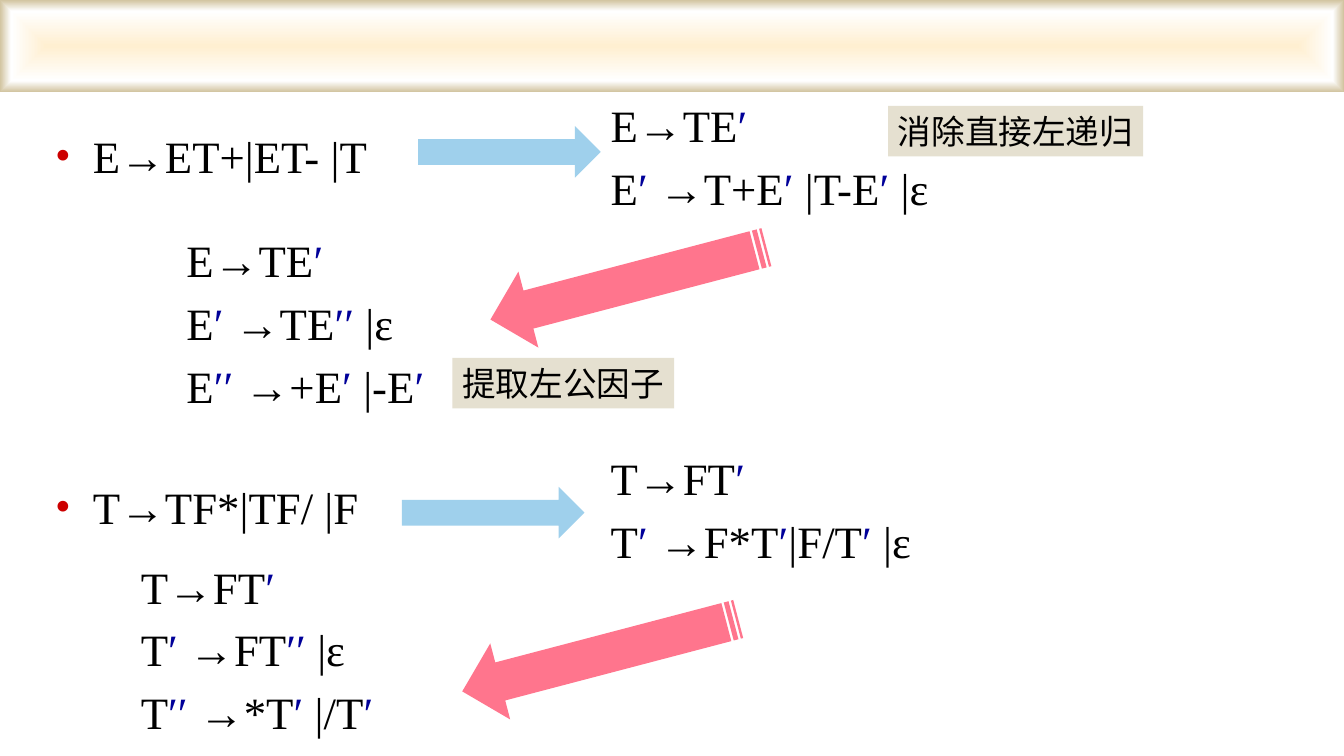
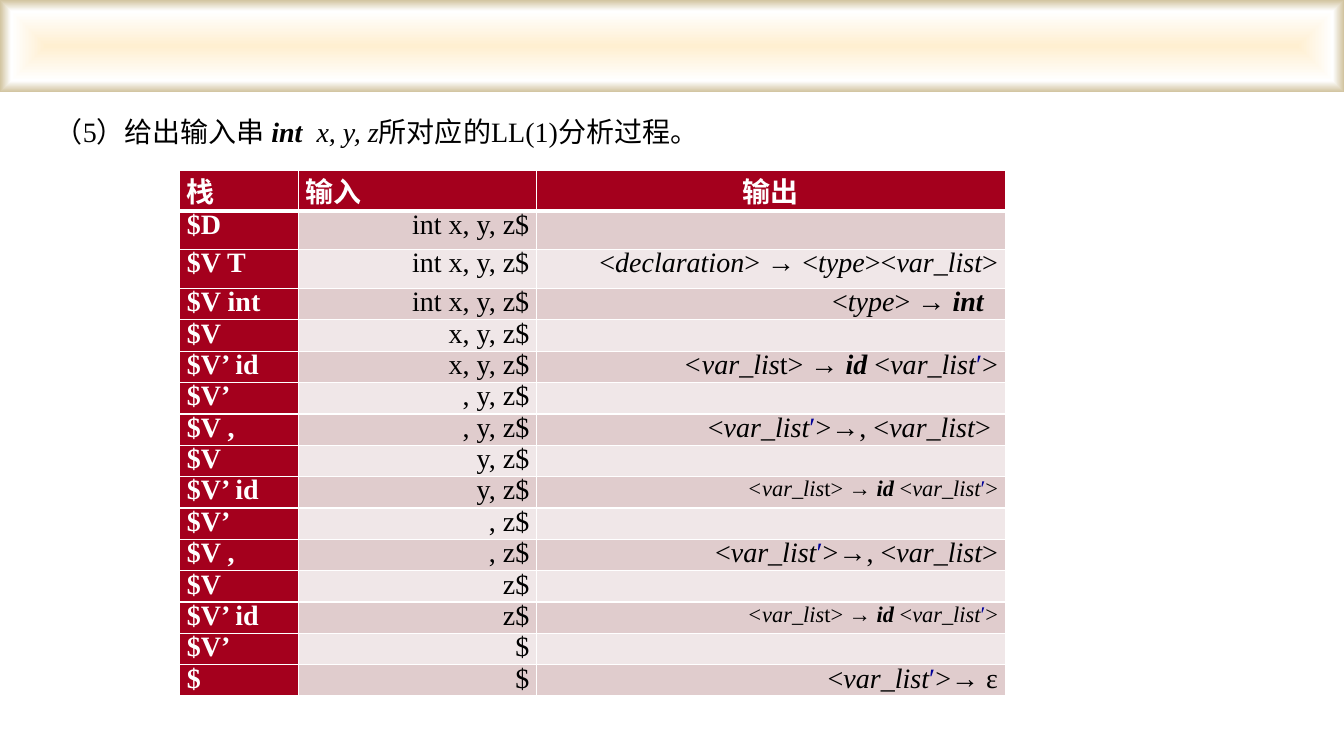
from dataclasses import dataclass
from itertools import groupby
from typing import NamedTuple

from lxml import etree
from pptx import Presentation
from pptx import util as u
from pptx.dml.color import RGBColor
from pptx.enum import shapes, text
from pptx.oxml import parse_xml
from pptx.oxml.ns import nsdecls, qn

COLOURS = {
    "text": "000000", "prime": "000099", "bullet": "CC0000", "white": "FFFFFF",
    "band_centre": "FFEFD1", "band_edge": "D1C39F",
    "forward": "9FD0EC", "back": "FF758D", "label": "E5E0D0",
    "header": "A4001D", "odd_row": "E0CCCD", "even_row": "F0E7E8",
}
SERIF, SANS = "Times New Roman", "Calibri"
PRIME = "′"
ALIGN = text.PP_ALIGN
GEOMETRY = shapes.MSO_SHAPE


class Box(NamedTuple):
    """Left, top, width and height in centimetres."""
    left: float
    top: float
    width: float
    height: float

    def lengths(self) -> tuple:
        return tuple(u.Cm(side) for side in self)


class Run(NamedTuple):
    words: str
    italic: bool = False
    bold: bool = False


@dataclass
class Grammar:
    box: Box
    rules: tuple[str, ...]
    bulleted: bool = False


@dataclass
class Block:
    box: Box
    geometry: shapes.MSO_SHAPE
    colour: str
    rotation: float = 0
    caption: str = ""


@dataclass
class Step:
    """One row of the parsing trace."""
    stack: str
    remaining: str
    output: tuple[Run, ...] = ()
    size: int = 20
    right_margin: float = 0.18
    height: float = 0.79


VAR_LIST = Run("var_list", italic=True)
VAR_TAIL = Run("var_list′", italic=True)
TYPE = Run("type", italic=True)
EXPAND_LIST = (Run("<var_lis", italic=True), Run("t> → "), Run("id ", True, True),
               Run("<"), VAR_TAIL, Run(">"))
EXPAND_TAIL = (Run("<"), VAR_TAIL, Run(">"), Run("→", italic=True), Run(", <"),
               VAR_LIST, Run(">"))
DECLARATION = (Run("<"), Run("declaration", italic=True), Run("> → <"), TYPE, Run("><"),
               Run("var", italic=True), Run("_"), Run("list", italic=True), Run(">"))

STEPS = (
    Step("$D", "int x, y, z$", height=0.97),
    Step("$V T", "int x, y, z$", DECLARATION, height=0.99),
    Step("$V int", "int x, y, z$", (Run("<"), TYPE, Run("> → "), Run("int", True, True)),
         right_margin=0.54),
    Step("$V", "x, y, z$"),
    Step("$V’ id", "x, y, z$", EXPAND_LIST),
    Step("$V’", ", y, z$"),
    Step("$V ,", ", y, z$", EXPAND_TAIL, right_margin=0.36),
    Step("$V", "y, z$"),
    Step("$V’ id", "y, z$", EXPAND_LIST, size=16),
    Step("$V’", ", z$"),
    Step("$V ,", ", z$", EXPAND_TAIL),
    Step("$V", "z$"),
    Step("$V’ id", "z$", EXPAND_LIST, size=16),
    Step("$V’", "$"),
    Step("$", "$", (Run("<"), VAR_TAIL, Run(">"), Run("→ ", italic=True), Run("ε"))),
)
HEADINGS = (("栈", ALIGN.JUSTIFY), ("输入", ALIGN.JUSTIFY), ("输出", ALIGN.CENTER))
HEADER_HEIGHT = 1.02
COLUMN_WIDTHS = (3, 5.99, 11.81)
STEP_SIZE, STEP_LEADING = 20, 21

GRAMMARS = (
    Grammar(Box(1.14, 3.12, 10.21, 1.78), ("E→ET+|ET- |T",), bulleted=True),
    Grammar(Box(15.14, 2.34, 12.6, 3.4), ("E→TE′", "E′ →T+E′ |T-E′ |ε")),
    Grammar(Box(4.45, 5.74, 8.79, 5.64), ("E→TE′", "E′ →TE′′ |ε", "E′′ →+E′ |-E′")),
    Grammar(Box(1.14, 11.96, 10.21, 1.78), ("T→TF*|TF/ |F",), bulleted=True),
    Grammar(Box(15.14, 11.23, 12.6, 3.4), ("T→FT′", "T′ →F*T′|F/T′ |ε")),
    Grammar(Box(3.3, 13.97, 8.79, 5.08), ("T→FT′", "T′ →FT′′ |ε", "T′′ →*T′ |/T′")),
)
BLOCKS = (
    Block(Box(10.54, 3.18, 4.6, 1.3), GEOMETRY.RIGHT_ARROW, "forward"),
    Block(Box(10.13, 12.27, 4.6, 1.3), GEOMETRY.RIGHT_ARROW, "forward"),
    Block(Box(12.24, 6.15, 7.19, 1.98), GEOMETRY.STRIPED_RIGHT_ARROW, "back", 165.3),
    Block(Box(11.53, 15.52, 7.19, 1.98), GEOMETRY.STRIPED_RIGHT_ARROW, "back", 165.3),
    Block(Box(22.38, 2.67, 6.43, 1.27), GEOMETRY.RECTANGLE, "label", caption="消除直接左递归"),
    Block(Box(11.4, 9.02, 5.59, 1.27), GEOMETRY.RECTANGLE, "label", caption="提取左公因子"),
)


def rgb(name: str) -> RGBColor:
    return RGBColor.from_string(COLOURS[name])


def add_runs(paragraph, runs: tuple[Run, ...], size: float, colour: str = "text",
             font: str = SERIF) -> None:
    """Add the runs, setting every prime upright and in its own colour."""
    for run in runs:
        for is_prime, letters in groupby(run.words, lambda letter: letter == PRIME):
            part = paragraph.add_run()
            part.text = "".join(letters)
            part.font.name, part.font.size = font, u.Pt(size)
            part.font.bold = run.bold
            part.font.italic = run.italic and not is_prime
            part.font.color.rgb = rgb("prime" if is_prime else colour)


def format_paragraph(paragraph, bulleted: bool = False) -> None:
    """Space the paragraph by a fifth of a line and give it a bullet if asked."""
    properties = paragraph._p.get_or_add_pPr()
    before = etree.SubElement(properties, qn("a:spcBef"))
    etree.SubElement(before, qn("a:spcPct"), val="20000")
    if bulleted:
        indent = int(u.Cm(0.95))
        properties.set("marL", str(indent))
        properties.set("indent", str(-indent))
        colour = etree.SubElement(properties, qn("a:buClr"))
        etree.SubElement(colour, qn("a:srgbClr"), val=COLOURS["bullet"])
        etree.SubElement(properties, qn("a:buFont"), typeface=SERIF)
        etree.SubElement(properties, qn("a:buChar"), char="•")


def add_text(slide, box: Box, lines: list[tuple[Run, ...]], size: float,
             bulleted: bool = False) -> None:
    frame = slide.shapes.add_textbox(*box.lengths()).text_frame
    frame.word_wrap = True
    for index, runs in enumerate(lines):
        paragraph = frame.add_paragraph() if index else frame.paragraphs[0]
        format_paragraph(paragraph, bulleted)
        add_runs(paragraph, runs, size)


def add_block(slide, block: Block):
    shape = slide.shapes.add_shape(block.geometry, *block.box.lengths())
    shape.rotation = block.rotation
    shape.fill.solid()
    shape.fill.fore_color.rgb = rgb(block.colour)
    shape.line.fill.background()
    shape.shadow.inherit = False
    if block.caption:
        frame = shape.text_frame
        frame.word_wrap = False
        frame.auto_size = text.MSO_AUTO_SIZE.SHAPE_TO_FIT_TEXT
        frame.paragraphs[0].alignment = ALIGN.LEFT
        add_runs(frame.paragraphs[0], (Run(block.caption),), 24, font=SANS)
    return shape


def move_band_to_layout(slide) -> None:
    """Draw the gradient band and place it on the layout that the slides share."""
    band = add_block(slide, Block(Box(0, 0, 33.87, 2.32), GEOMETRY.RECTANGLE, "band_centre"))
    stops = "".join(
        f'<a:gs pos="{percent * 1000}"><a:srgbClr val="{COLOURS[name]}"/></a:gs>'
        for percent, name in ((0, "band_centre"), (76, "white"), (100, "band_edge")))
    gradient = parse_xml(
        f'<a:gradFill {nsdecls("a")} rotWithShape="1"><a:gsLst>{stops}</a:gsLst>'
        '<a:path path="shape"><a:fillToRect l="50000" t="50000" r="50000" b="50000"/>'
        '</a:path></a:gradFill>')
    properties = band._element.spPr
    properties.replace(properties.find(qn("a:solidFill")), gradient)
    slide.slide_layout.shapes.element.append(band._element)


def fill_cell(cell, runs: tuple[Run, ...], fill: str, align: text.PP_ALIGN,
              colour: str = "text", size: float = STEP_SIZE, right_margin: float = 0.18,
              top_line: float = 1, bottom_line: float = 1):
    """Fill and border the cell; return its paragraph."""
    cell.margin_left, cell.margin_right = u.Cm(0.18), u.Cm(right_margin)
    cell.margin_top = cell.margin_bottom = 0
    cell.fill.solid()
    cell.fill.fore_color.rgb = rgb(fill)
    paragraph = cell.text_frame.paragraphs[0]
    paragraph.alignment = align
    add_runs(paragraph, runs, size, colour)
    widths = {"lnL": 1, "lnR": 1, "lnT": top_line, "lnB": bottom_line}
    for index, (side, width) in enumerate(widths.items()):
        border = parse_xml(
            f'<a:{side} {nsdecls("a")} w="{int(u.Pt(width))}"><a:solidFill>'
            f'<a:srgbClr val="{COLOURS["white"]}"/></a:solidFill></a:{side}>')
        cell._tc.get_or_add_tcPr().insert(index, border)
    return paragraph


def add_trace(slide) -> None:
    height = HEADER_HEIGHT + sum(step.height for step in STEPS)
    box = Box(4.53, 4.29, sum(COLUMN_WIDTHS), height)
    trace = slide.shapes.add_table(len(STEPS) + 1, len(COLUMN_WIDTHS), *box.lengths()).table
    for column, width in zip(trace.columns, COLUMN_WIDTHS):
        column.width = u.Cm(width)
    trace.rows[0].height = u.Cm(HEADER_HEIGHT)
    for index, (heading, align) in enumerate(HEADINGS):
        fill_cell(trace.cell(0, index), (Run(heading, bold=True),), "header", align,
                  "white", bottom_line=3)
    for row, step in enumerate(STEPS, start=1):
        trace.rows[row].height = u.Cm(step.height)
        stack, remaining, output = trace.rows[row].cells
        shade = "odd_row" if row % 2 else "even_row"
        top_line = 3 if row == 1 else 1
        paragraphs = [
            fill_cell(stack, (Run(step.stack, bold=True),), "header", ALIGN.JUSTIFY, "white",
                      top_line=top_line),
            fill_cell(remaining, (Run(step.remaining),), shade, ALIGN.RIGHT,
                      top_line=top_line),
            fill_cell(output, step.output, shade, ALIGN.RIGHT, size=step.size,
                      right_margin=step.right_margin, top_line=top_line),
        ]
        for paragraph in paragraphs if step.size == STEP_SIZE else paragraphs[:2]:
            paragraph.line_spacing = u.Pt(STEP_LEADING)


def build_grammar_slide(slide) -> None:
    for grammar in GRAMMARS:
        add_text(slide, grammar.box, [(Run(rule),) for rule in grammar.rules], 32,
                 grammar.bulleted)
    for block in BLOCKS:
        add_block(slide, block)


def build_trace_slide(slide) -> None:
    question = (Run("（5）给出输入串 "), Run("int", True, True), Run("  x, y, z", italic=True),
                Run("所对应的LL(1)分析过程。"))
    add_text(slide, Box(1.13, 2.75, 31.6, 1.57), [question], 20)
    add_trace(slide)


def main() -> None:
    deck = Presentation()
    deck.slide_width, deck.slide_height = u.Cm(33.87), u.Cm(19.05)
    blank = deck.slide_layouts[6]
    grammar_slide, trace_slide = (deck.slides.add_slide(blank) for _ in range(2))
    move_band_to_layout(grammar_slide)
    build_grammar_slide(grammar_slide)
    build_trace_slide(trace_slide)
    deck.save("out.pptx")


if __name__ == "__main__":
    main()
